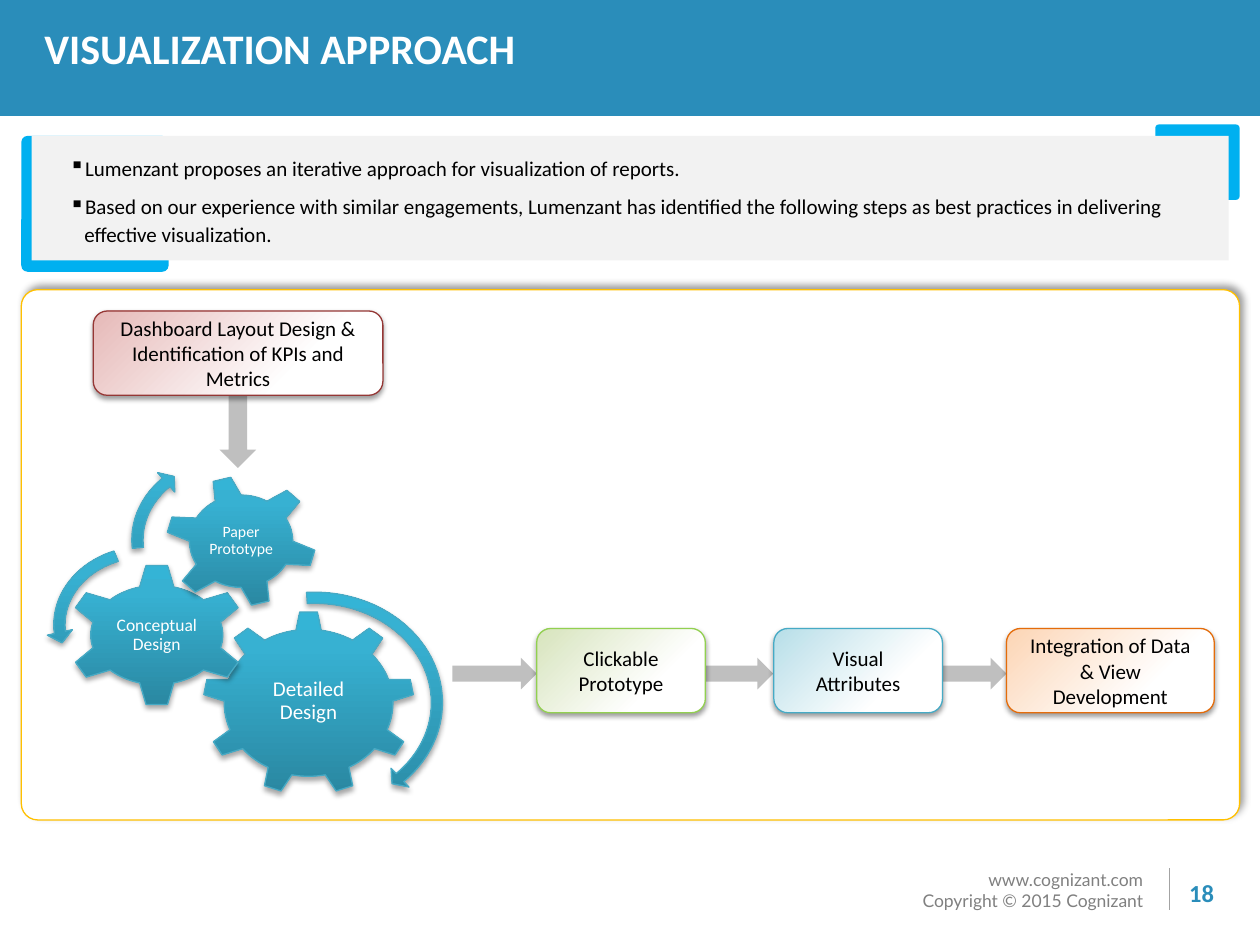
"""Build the visualization approach slide."""
from dataclasses import dataclass
from math import cos, radians, sin

from lxml import etree
from pptx import Presentation
from pptx import oxml
from pptx import util as u
from pptx.dml.color import RGBColor
from pptx.enum import shapes, text
from pptx.oxml import ns

Shape = shapes.MSO_SHAPE
Align = text.PP_ALIGN
Anchor = text.MSO_ANCHOR
BLUE, ACCENT, TEAL, GREY = "2A8DBA", "00B0F0", "46AAC5", "BFBFBF"
BOX_SHADOW = (38, 3.1, 1.6, 90)
GEAR_SHADOW = (35, 3.1, 1.8, 90)
GEAR_STOPS = ((0, "2A88A2"), (80, "37B1D2"), (100, "34B4D6"))
UPWARD = '<a:lin ang="16200000" scaled="0"/>'
FROM_CORNER = '<a:path path="circle"><a:fillToRect r="100000" b="100000"/></a:path>'


@dataclass
class Step:
    label: str
    frame: tuple
    fill: str
    line: str


@dataclass
class Gear:
    label: str
    size: float
    center: tuple
    body: tuple
    tip: tuple
    teeth: int
    turn: float
    base_angle: float
    tip_angle: float


@dataclass
class Turn:
    kind: Shape
    frame: tuple
    adjustments: tuple


STEPS = (
    Step("Dashboard Layout Design & Identification of KPIs and Metrics",
         (1.88, 6.27, 5.84, 1.7), "E6B9B8", "953735"),
    Step("Clickable Prototype", (10.82, 12.67, 3.4, 1.7), "D7E4BD", "92D050"),
    Step("Visual Attributes", (15.6, 12.67, 3.4, 1.7), "B7DEE8", TEAL),
    Step("Integration of Data & View Development",
         (20.29, 12.67, 4.19, 1.7), "FCD5B5", "E46C0A"),
)
GEARS = (
    Gear("Detailed\vDesign", 12, (6.22, 14.17), (1.7, 1.48), (2.12, 1.84), 9, 0, 8.6, 4.8),
    Gear("Conceptual\vDesign", 10, (3.16, 12.8), (1.33, 1), (1.78, 1.41), 6, 0, 15, 7),
    Gear("Paper\vPrototype", 9, (4.86, 10.91), (1.04, 0.93), (1.5, 1.3), 6, -15, 15, 7),
)
TURNS = (
    Turn(Shape.CIRCULAR_ARROW, (3.61, 11.79, 5.46, 4.75),
         (0.047, 2.99, 24.748, 159.534, 0.055)),
    Turn(Shape.LEFT_CIRCULAR_ARROW, (0.94, 10.87, 3.96, 3.45),
         (0.065, 4.3, 104.891, 148.378, 0.075)),
    Turn(Shape.CIRCULAR_ARROW, (2.51, 9.02, 4.27, 3.73),
         (0.06, 3.941, 133.138, 105.082, 0.07)),
)
BULLETS = (
    "Lumenzant proposes an iterative approach for visualization of reports.",
    "Based on our experience with similar engagements, Lumenzant has identified the following "
    "steps as best practices in delivering effective visualization.",
)


def color(value: str) -> RGBColor:
    return RGBColor.from_string(value)


def lengths(frame: tuple) -> list:
    return [u.Cm(value) for value in frame]


def paint(shape, fill: str | None = None, line: str | None = None) -> None:
    shape.shadow.inherit = False
    if fill:
        shape.fill.solid()
        shape.fill.fore_color.rgb = color(fill)
    if line:
        shape.line.color.rgb = color(line)
        shape.line.width = u.Pt(0.75)
    else:
        shape.line.fill.background()


def paint_gradient(shape, stops: tuple, direction: str) -> None:
    shape.fill.background()
    properties = shape._element.spPr
    marks = "".join(f'<a:gs pos="{position * 1000}"><a:srgbClr val="{value}"/></a:gs>'
                    for position, value in stops)
    gradient = oxml.parse_xml(f'<a:gradFill {ns.nsdecls("a")} rotWithShape="1">'
                              f"<a:gsLst>{marks}</a:gsLst>{direction}</a:gradFill>")
    properties.replace(properties.find(ns.qn("a:noFill")), gradient)


def cast_shadow(shape, opacity: int, blur: float, distance: float, angle: int) -> None:
    effects = shape._element.spPr.find(ns.qn("a:effectLst"))
    effects.append(oxml.parse_xml(
        f'<a:outerShdw {ns.nsdecls("a")} blurRad="{u.Pt(blur)}" dist="{u.Pt(distance)}" '
        f'dir="{angle * 60000}" algn="ctr" rotWithShape="0"><a:srgbClr val="000000">'
        f'<a:alpha val="{opacity * 1000}"/></a:srgbClr></a:outerShdw>'))


def write(shape, content: str, size: float, ink: str, align=Align.CENTER,
          anchor=Anchor.MIDDLE, font: str = "Calibri", bold: bool = False):
    frame = shape.text_frame
    frame.text = content
    frame.word_wrap = True
    frame.vertical_anchor = anchor
    for paragraph in frame.paragraphs:
        paragraph.alignment = align
        for run in paragraph.runs:
            run.font.size = u.Pt(size)
            run.font.name = font
            run.font.bold = bold
            run.font.color.rgb = color(ink)
    return frame


def add_shape(slide, kind: Shape, frame: tuple, fill: str | None = None,
              line: str | None = None, adjustments: tuple = ()):
    shape = slide.shapes.add_shape(kind, *lengths(frame))
    paint(shape, fill, line)
    for index, value in enumerate(adjustments):
        shape.adjustments[index] = value
    return shape


def add_step(slide, step: Step) -> None:
    shape = add_shape(slide, Shape.ROUNDED_RECTANGLE, step.frame, line=step.line)
    paint_gradient(shape, ((0, step.fill), (70, "FFFFFF")), FROM_CORNER)
    cast_shadow(shape, *BOX_SHADOW)
    write(shape, step.label, 12, "000000")


def gear_points(gear: Gear) -> list:
    def at(radius: tuple, angle: float) -> tuple:
        return (u.Cm(gear.center[0] + radius[0] * sin(radians(angle))),
                u.Cm(gear.center[1] - radius[1] * cos(radians(angle))))

    pitch, arc_parts, points = 360 / gear.teeth, 8, []
    for tooth in range(gear.teeth):
        middle = gear.turn + tooth * pitch
        points += [at(gear.tip, middle - gear.tip_angle), at(gear.tip, middle + gear.tip_angle)]
        arc = pitch - 2 * gear.base_angle
        points += [at(gear.body, middle + gear.base_angle + arc * part / arc_parts)
                   for part in range(arc_parts + 1)]
    return points


def finish_gear_part(shape) -> None:
    paint(shape, line=TEAL)
    paint_gradient(shape, GEAR_STOPS, UPWARD)
    cast_shadow(shape, *GEAR_SHADOW)


def add_gear(slide, gear: Gear) -> None:
    start, *others = gear_points(gear)
    builder = slide.shapes.build_freeform(*start)
    builder.add_line_segments(others, close=True)
    shape = builder.convert_to_shape()
    finish_gear_part(shape)
    frame = write(shape, gear.label, gear.size, "FFFFFF")
    frame.word_wrap = False
    frame.paragraphs[0].line_spacing = 0.9


def add_header(slide) -> None:
    band = add_shape(slide, Shape.RECTANGLE, (0, 0, 25.4, 2.34), BLUE)
    title = slide.shapes.title
    band._element.addnext(title._element)
    title.left, title.top, title.width, title.height = lengths((0, 0.64, 25.2, 1.07))
    frame = write(title, "VISUALIZATION APPROACH", 24, "FFFFFF", Align.LEFT, Anchor.TOP, bold=True)
    frame.auto_size = text.MSO_AUTO_SIZE.NONE
    frame.paragraphs[0].line_spacing = u.Pt(20)
    frame.paragraphs[0]._p.get_or_add_pPr().set("marL", str(u.Cm(0.64)))


def add_summary(slide) -> None:
    for frame in ((23.29, 2.51, 1.7, 1.52), (0.43, 2.74, 2.97, 2.74)):
        add_shape(slide, Shape.ROUNDED_RECTANGLE, frame, ACCENT, adjustments=(0.047,))
    add_shape(slide, Shape.RECTANGLE, (0.64, 2.74, 24.13, 2.51), "F2F2F2")
    box = slide.shapes.add_textbox(*lengths((0.97, 2.95, 23.6, 2.16)))
    frame = write(box, "\n".join(BULLETS), 12, "000000", Align.LEFT, Anchor.TOP)
    for paragraph in frame.paragraphs:
        paragraph.line_spacing, paragraph.space_after = u.Pt(16), u.Pt(6)
        properties = paragraph._p.get_or_add_pPr()
        properties.set("marL", str(u.Cm(0.48)))
        properties.set("indent", str(u.Cm(-0.3)))
        etree.SubElement(properties, ns.qn("a:buChar")).set("char", "▪")


def add_footer(slide) -> None:
    box = slide.shapes.add_textbox(*lengths((17.78, 17.4, 5.51, 1.12)))
    write(box, "www.cognizant.com\nCopyright © 2015 Cognizant", 10, "808080",
          Align.RIGHT, Anchor.TOP, "Lato")
    rule = slide.shapes.add_connector(shapes.MSO_CONNECTOR.STRAIGHT,
                                      *lengths((23.57, 17.5, 23.57, 18.34)))
    rule.line.color.rgb = color("A3A3A3")
    rule.line.width = u.Pt(0.75)
    etree.SubElement(rule._element.spPr, ns.qn("a:effectLst"))
    number = slide.shapes.add_textbox(*lengths((23.27, 17.58, 1.91, 0.99)))
    write(number, "18", 14, BLUE, anchor=Anchor.TOP, bold=True)


def add_process(slide) -> None:
    panel = add_shape(slide, Shape.ROUNDED_RECTANGLE, (0.43, 5.84, 24.56, 10.69),
                      "FFFFFF", "FFC000", (0.031,))
    cast_shadow(panel, 40, 4, 3, 315)
    for left in (9.12, 13.89, 18.59):
        add_shape(slide, Shape.RIGHT_ARROW, (left, 13.26, 1.7, 0.64), GREY)
    add_shape(slide, Shape.RIGHT_ARROW, (4.06, 8.33, 1.47, 0.74), GREY).rotation = 90
    for gear in GEARS:
        add_gear(slide, gear)
    for turn in TURNS:
        finish_gear_part(add_shape(slide, turn.kind, turn.frame, adjustments=turn.adjustments))
    for step in STEPS:
        add_step(slide, step)


def main() -> None:
    presentation = Presentation()
    presentation.slide_width, presentation.slide_height = u.Cm(25.4), u.Cm(19.05)
    slide = presentation.slides.add_slide(presentation.slide_layouts[5])
    for draw in (add_footer, add_header, add_process, add_summary):
        draw(slide)
    presentation.save("out.pptx")


if __name__ == "__main__":
    main()
